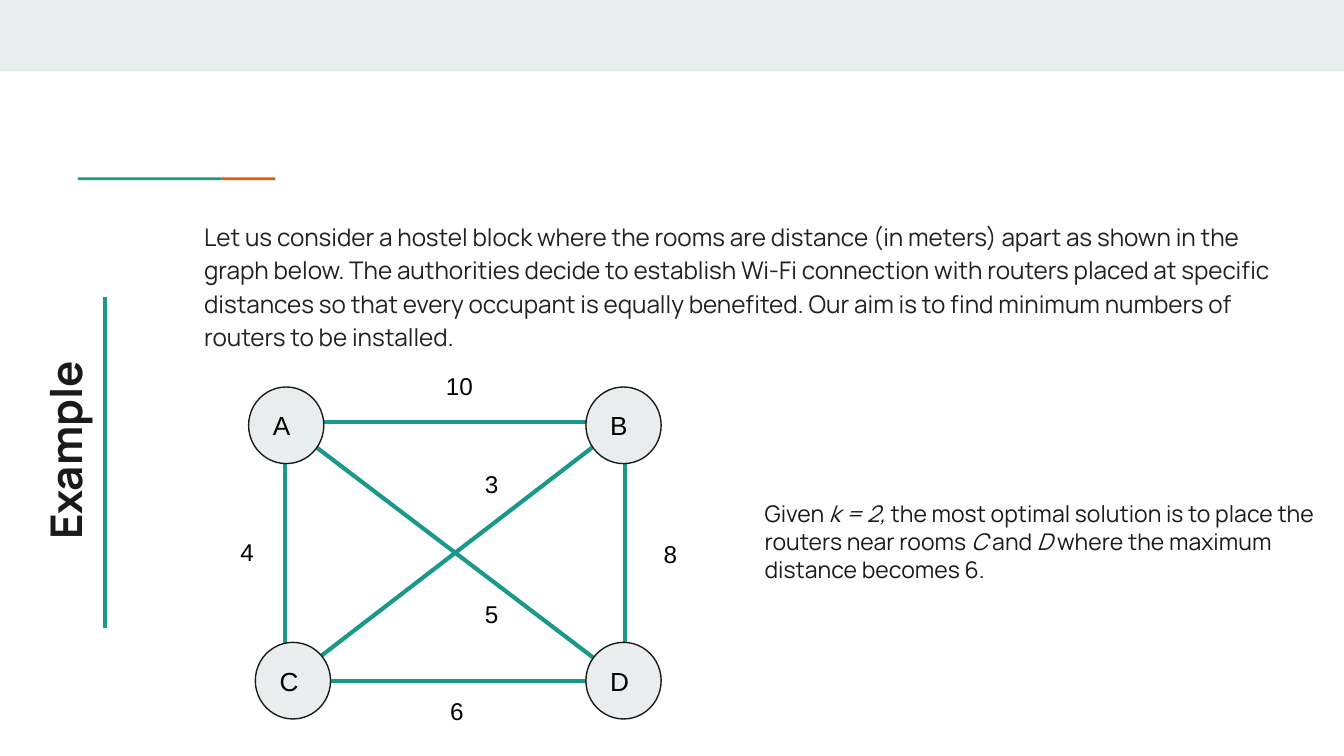
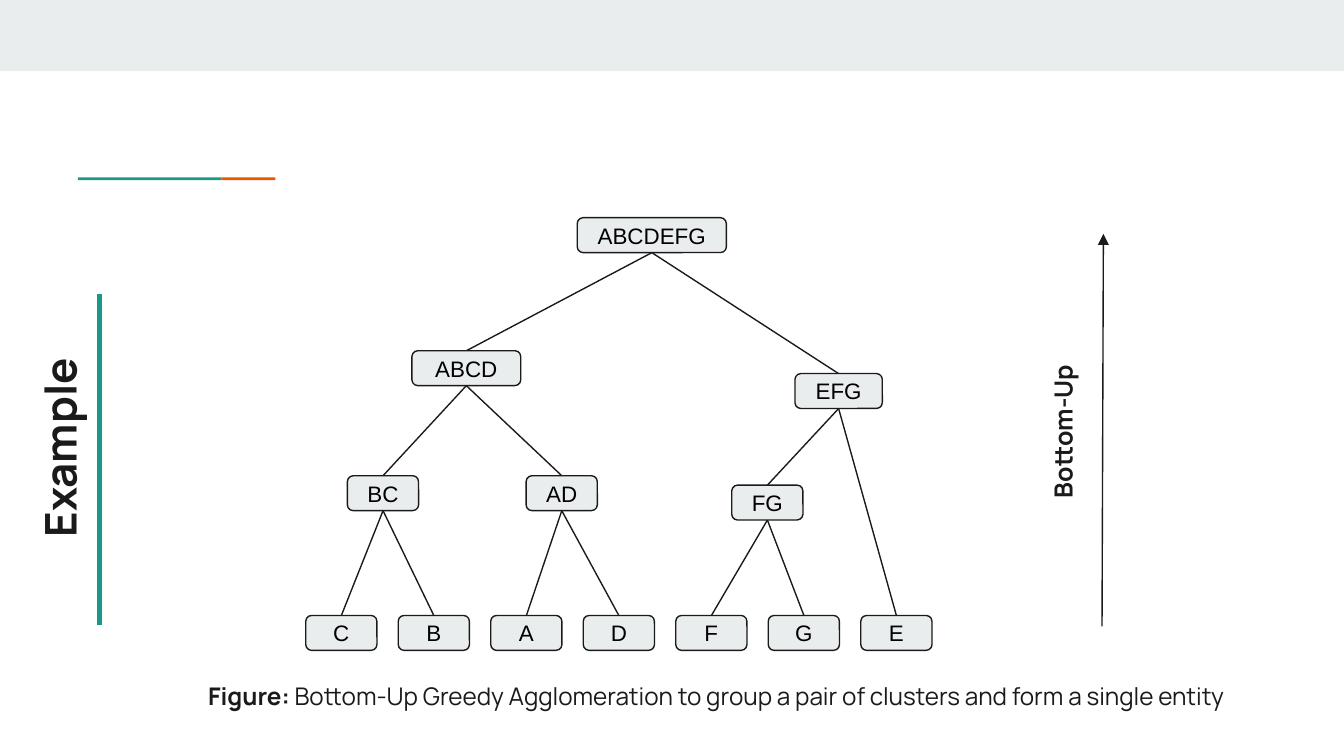
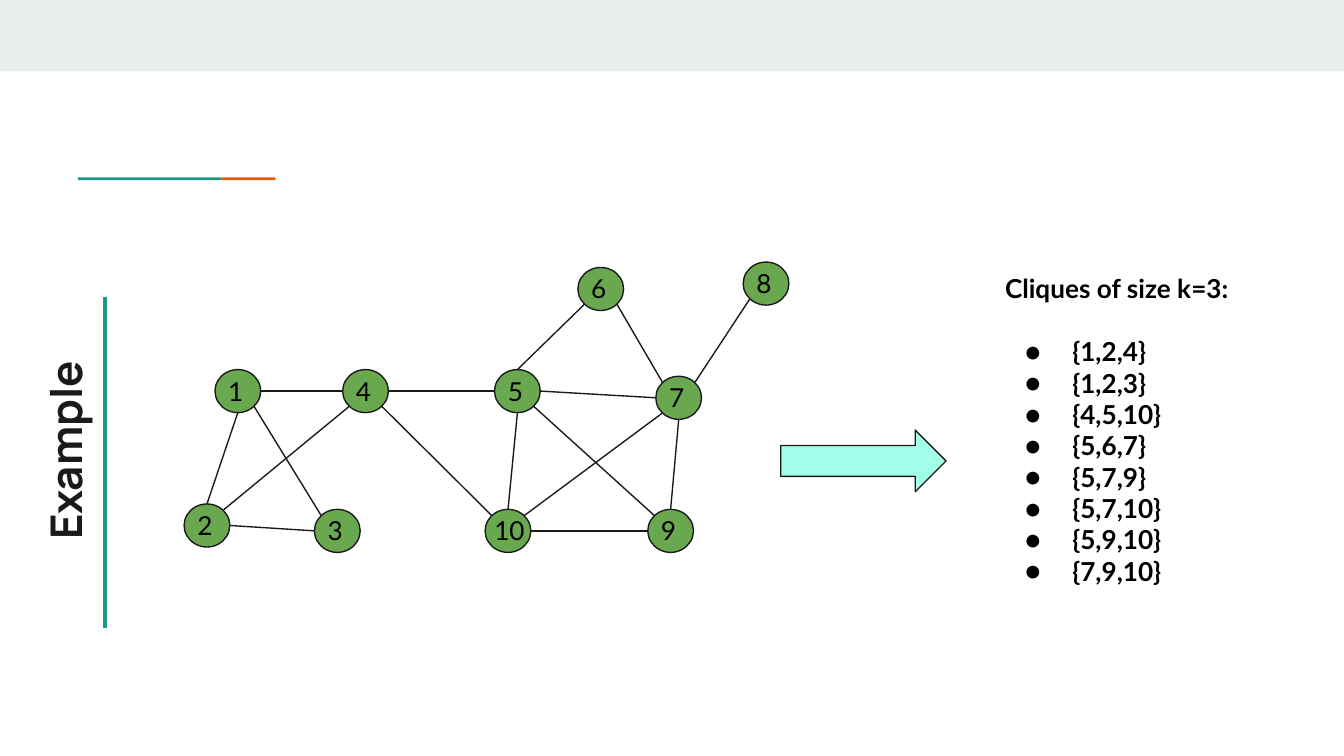
from dataclasses import dataclass

from lxml import etree
from pptx import Presentation
from pptx.dml.color import RGBColor
from pptx.enum.shapes import MSO_CONNECTOR, MSO_SHAPE
from pptx.enum.text import MSO_ANCHOR, PP_ALIGN
from pptx.oxml.ns import qn
from pptx.util import Inches, Pt

RECT, ROUND = MSO_SHAPE.RECTANGLE, MSO_SHAPE.ROUNDED_RECTANGLE
OVAL, ARROW = MSO_SHAPE.OVAL, MSO_SHAPE.RIGHT_ARROW
MIDDLE, TOP = MSO_ANCHOR.MIDDLE, MSO_ANCHOR.TOP
CENTER, LEFT = PP_ALIGN.CENTER, PP_ALIGN.LEFT
STRAIGHT = MSO_CONNECTOR.STRAIGHT


@dataclass(frozen=True)
class Theme:
    white: str = "FFFFFF"
    black: str = "000000"
    ink: str = "1A1A1A"
    prose: str = "202124"
    pale: str = "E9EDEE"
    teal: str = "1A9988"
    orange: str = "EB5600"
    green: str = "6AA84F"
    mint: str = "A2FFE8"
    thin: float = 0.75
    thick: float = 2.25
    head: float = 23.4
    side: float = 13.4
    large: float = 14
    body: float = 13
    note: float = 12.3
    small: float = 12


T = Theme()
PLAIN = {"name": "Arial", "size": T.body, "color": T.black}
NODE = PLAIN | {"size": T.large}
LEAF = PLAIN | {"size": T.small}
DIGIT = NODE | {"name": "Lato"}
PROSE = {"name": "Manrope", "size": T.body, "color": T.ink}
HEAD = PROSE | {"size": T.head, "bold": True}


def put(slide, box, paras=(), font=PLAIN, kind=None, fill=None, line=None,
        weight=T.thin, inset=0.1, anchor=TOP, align=LEFT, turn=0):
    """Add a shape, or a text box without a kind; each paragraph is a list of (text, font changes)."""
    place = [Inches(v) for v in box]
    if kind is None:
        shape = slide.shapes.add_textbox(*place)
    else:
        shape = slide.shapes.add_shape(kind, *place)
        shape.shadow.inherit = False
        shape.fill.solid()
        shape.fill.fore_color.rgb = RGBColor.from_string(fill)
        if line:
            shape.line.color.rgb = RGBColor.from_string(line)
            shape.line.width = Pt(weight)
        else:
            shape.line.fill.background()
    shape.rotation = turn
    frame = shape.text_frame
    form = {"word_wrap": True, "vertical_anchor": anchor}
    form |= {f"margin_{side}": Inches(inset) for side in ("left", "top", "right", "bottom")}
    for key, value in form.items():
        setattr(frame, key, value)
    for i, runs in enumerate(paras):
        para = frame.add_paragraph() if i else frame.paragraphs[0]
        para.alignment = align
        for text, change in runs:
            run = para.add_run()
            run.text = text
            look = font | change
            run.font.color.rgb = RGBColor.from_string(look.pop("color"))
            look["size"] = Pt(look["size"])
            for key, value in look.items():
                setattr(run.font, key, value)
    return shape


def link(slide, start, end, color=T.ink, weight=T.thin, tip=False):
    wire = slide.shapes.add_connector(STRAIGHT, *[Inches(v) for v in (*start, *end)])
    wire.line.color.rgb = RGBColor.from_string(color)
    wire.line.width = Pt(weight)
    props = wire._element.spPr
    if tip:
        etree.SubElement(props.find(qn("a:ln")), qn("a:tailEnd"), type="triangle")
    etree.SubElement(props, qn("a:effectLst"))


deck = Presentation()
deck.slide_width = Inches(10)
deck.slide_height = deck.slide_width * 9 // 16

# Shared band, accent rule and turned title
slides = []
for shift in (0, -0.04, 0):
    slide = deck.slides.add_slide(deck.slide_layouts[6])
    put(slide, (0, 0, 10, 0.53), kind=RECT, fill=T.pale)
    put(slide, (0.58, 1.32, 1.07, 0.02), kind=RECT, fill=T.teal)
    put(slide, (1.65, 1.32, 0.4, 0.02), kind=RECT, fill=T.orange)
    put(slide, (-0.69 + shift, 2.65 + shift / 2, 2.34, 0.59), [[("Example", {})]], HEAD, turn=270)
    link(slide, (0.78 + shift, 2.21 + shift / 2), (0.78 + shift, 4.67 + shift / 2), T.teal, T.thick)
    slides.append(slide)
rooms, tree, cliques = slides

# Slide 1: distances between rooms
aim = put(rooms, (1.42, 1.52, 8.15, 1), [[(
    "Let us consider a hostel block where the rooms are distance (in meters) apart as shown in "
    "the graph below. The authorities decide to establish Wi-Fi connection with routers placed "
    "at specific distances so that every occupant is equally benefited. Our aim is to find "
    "minimum numbers of routers to be installed.", {})]], PROSE | {"color": T.prose})
aim.text_frame.paragraphs[0].line_spacing = 1.15
put(rooms, (2.12, 3.14, 2.53, 1.93), kind=RECT, fill=T.white, line=T.teal, weight=T.thick)
link(rooms, (2.12, 3.15), (4.66, 5.08), T.teal, T.thick)
link(rooms, (4.64, 3.15), (2.13, 5.08), T.teal, T.thick)
for name, x, y in (("A", 1.85, 2.88), ("C", 1.9, 4.78), ("B", 4.36, 2.88), ("D", 4.36, 4.78)):
    put(rooms, (x, y, 0.56, 0.57), [[(name, {})]], NODE, OVAL, T.pale, T.ink, anchor=MIDDLE)
for span, x, y in (("4", 1.69, 3.9), ("8", 4.84, 3.91), ("6", 3.25, 5.08),
                   ("10", 3.22, 2.66), ("3", 3.51, 3.39), ("5", 3.51, 4.36)):
    put(rooms, (x, y, 0.2 + 0.12 * len(span), 0.42), [[(span, {})]])
slant = {"italic": True}
put(rooms, (5.59, 3.62, 4.41, 0.7), [[
    ("Given", {}), (" k = 2, ", slant),
    ("the most optimal solution is to place the routers near rooms ", {}),
    ("C", slant), (" and ", {}), ("D ", slant),
    ("where the maximum distance becomes 6.", {})]], PROSE | {"size": T.note})

# Slide 2: tree of clusters, each with its centre, top and width
tall = 0.26
nodes = {name: (2.54 + 4.13 / 6 * i, 4.58, 0.53) for i, name in enumerate("CBADFGE")}
nodes |= {"BC": (2.85, 3.54, 0.53), "AD": (4.18, 3.54, 0.53), "FG": (5.71, 3.61, 0.53),
          "EFG": (6.24, 2.78, 0.65), "ABCD": (3.47, 2.61, 0.81), "ABCDEFG": (4.85, 1.62, 1.11)}
splits = {"BC": "BC", "AD": "AD", "FG": "FG", "EFG": ("FG", "E"),
          "ABCD": ("BC", "AD"), "ABCDEFG": ("ABCD", "EFG")}
for name, parts in splits.items():
    x, y, _ = nodes[name]
    for part in parts:
        link(tree, nodes[part][:2], (x, y + tall))
for name, (x, y, wide) in nodes.items():
    put(tree, (x - wide / 2, y, wide, tall), [[(name, {})]], LEAF, ROUND, T.pale, T.ink,
        inset=0, anchor=MIDDLE, align=CENTER)
link(tree, (8.2, 4.66), (8.21, 1.74), tip=True)
put(tree, (7.27, 2.79, 1.44, 0.59), [[("Bottom-Up", {})]], HEAD | {"size": T.side}, turn=270)
put(tree, (1.24, 4.97, 8.17, 0.42), [[
    ("Figure: ", {"bold": True}),
    ("Bottom-Up Greedy Agglomeration to group a pair of clusters and form a single entity", {}),
]], PROSE, align=CENTER)

# Slide 3: graph whose edges join compass points of the nodes
wide, tall = 0.34, 0.32
spots = {"1": (1.6, 2.75), "4": (2.55, 2.75), "2": (1.37, 3.75), "6": (4.3, 1.99),
         "9": (4.82, 3.79), "5": (3.68, 2.75), "10": (3.61, 3.79), "7": (4.88, 2.8),
         "3": (2.34, 3.79), "8": (5.53, 1.95)}
edges = ("1 S 2 N", "1 E 4 W", "2 E 3 W", "1 SE 3 NW", "2 NE 4 SW", "4 E 5 W",
         "4 SE 10 NW", "5 S 10 N", "5 N 6 SW", "5 E 7 W", "10 E 9 W", "7 S 9 N",
         "6 SE 7 NW", "10 NE 7 SW", "5 SE 9 NW", "7 NE 8 SW")
for x, y in spots.values():
    put(cliques, (x, y, wide, tall), kind=OVAL, fill=T.green, line=T.ink)
for edge in edges:
    first, out, last, into = edge.split()
    ends = []
    for name, side in ((first, out), (last, into)):
        x, y = spots[name]
        reach = 0.5 if len(side) == 1 else 0.35
        ends.append((x + wide * (0.5 + reach * (("E" in side) - ("W" in side))),
                     y + tall * (0.5 + reach * (("S" in side) - ("N" in side)))))
    link(cliques, *ends)
for name, (x, y) in spots.items():
    more = len(name) - 1
    put(cliques, (x - 0.03 * more, y - 0.06, wide + 0.16 * more, 0.44), [[(name, {})]], DIGIT)
put(cliques, (5.81, 3.2, 1.23, 0.46), kind=ARROW, fill=T.mint, line=T.ink)

groups = ("{1,2,4}", "{1,2,3}", "{4,5,10}", "{5,6,7}", "{5,7,9}", "{5,7,10}", "{5,9,10}", "{7,9,10}")
panel = put(cliques, (7.38, 1.93, 2.89, 2.56),
            [[(text, {})] for text in ("Cliques of size k=3:", *groups)], DIGIT | {"bold": True})
lead, *items = panel.text_frame.paragraphs
lead.space_after = Pt(16.8)
for item in items:
    props = item._p.get_or_add_pPr()
    props.set("marL", str(Inches(0.5)))
    props.set("indent", str(Inches(-0.35)))
    tint = etree.SubElement(props, qn("a:buClr"))
    etree.SubElement(tint, qn("a:srgbClr"), val=T.black)
    etree.SubElement(props, qn("a:buFont"), typeface=DIGIT["name"])
    etree.SubElement(props, qn("a:buChar"), char="●")

deck.save("out.pptx")
